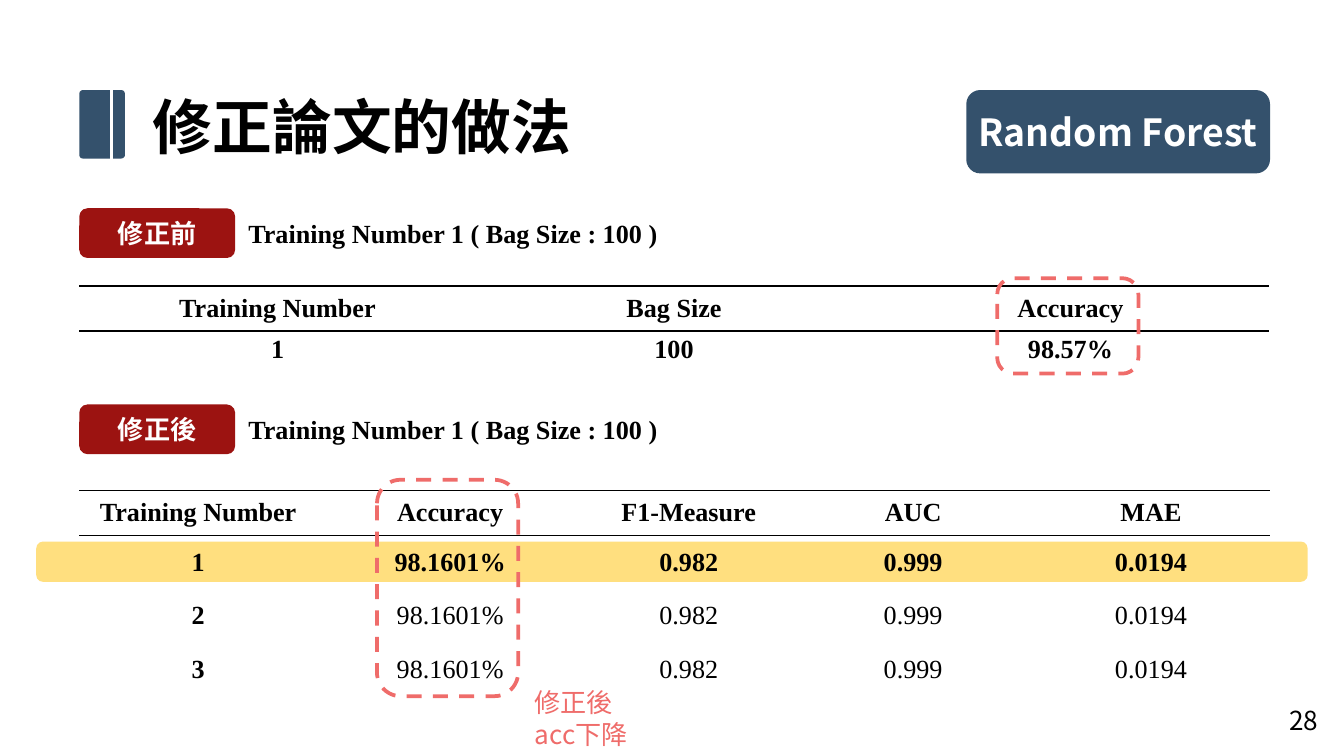
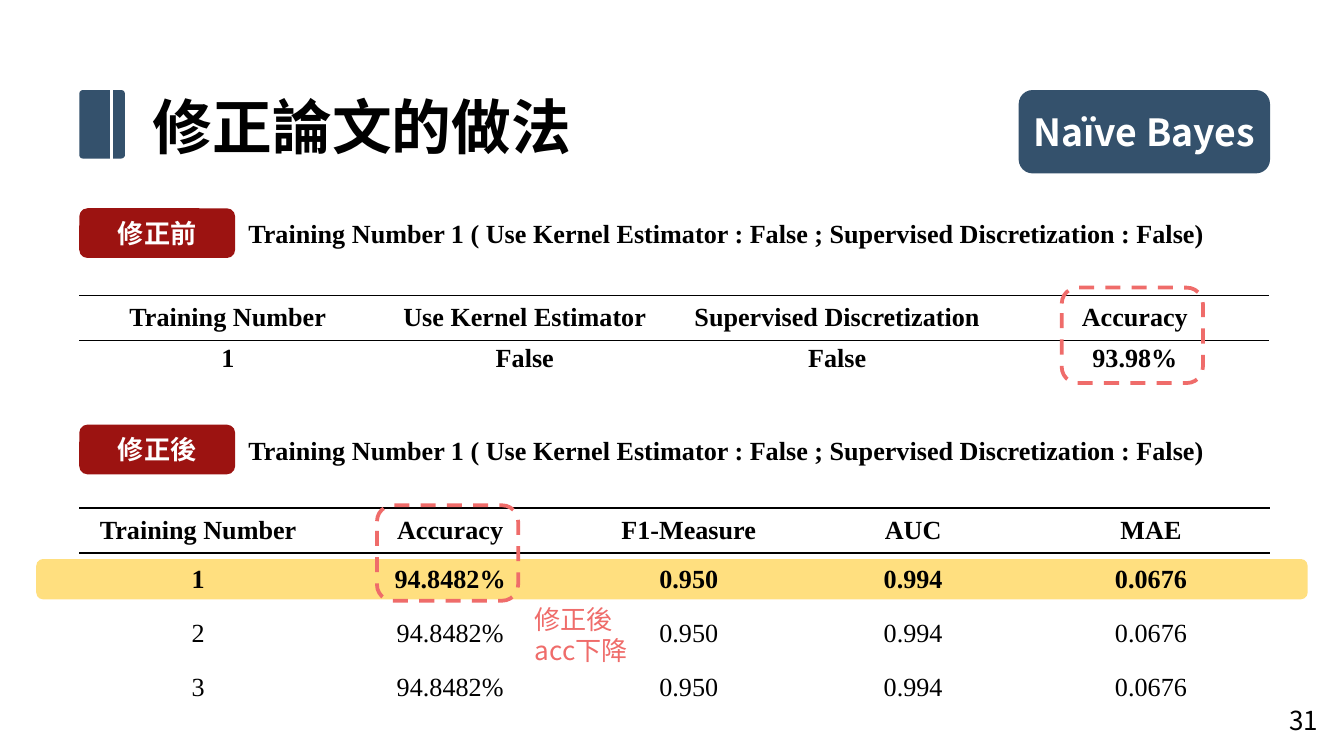
from lxml import etree
from pptx import Presentation
from pptx.dml.color import RGBColor
from pptx.enum import dml, shapes, text
from pptx.oxml import ns
from pptx.util import Inches, Pt

COLORS = {"navy": "34516C", "red": "9C1311", "coral": "EF6C6A", "amber": "FFC000",
          "white": "FFFFFF", "black": "000000"}
SANS, SERIF = "Noto Sans CJK JP", "Times New Roman"
PLAIN_TABLE = "{2D5ABB26-0587-4C30-8999-92F81FD0307C}"

TITLE = "修正論文的做法"
REMARK = ["修正後", "acc下降"]
METRICS = ["Training Number", "Accuracy", "F1-Measure", "AUC", "MAE"]
METRIC_WIDTHS = [1.77, 1.98, 1.57, 1.77, 1.77]
LEFT = 0.59
HEADER_HEIGHT, BEFORE_ROW, AFTER_ROW = 0.33, 0.27, 0.4
FOCUS_WIDTH = 1.05

SLIDES = [
    {
        "number": "28", "method": "Random Forest", "badge": (7.19, 2.26),
        "setting": "Training Number 1 ( Bag Size : 100 )", "bold_numbers": True,
        "before": {"tag_top": 1.55, "top": 2.13, "widths": [2.95] * 3,
                   "rows": [["Training Number", "Bag Size", "Accuracy"],
                            ["1", "100", "98.57%"]],
                   "focus": (2.07, 0.71)},
        "after": {"tag_top": 3.01, "top": 3.65, "widths": METRIC_WIDTHS,
                  "scores": ["98.1601%", "0.982", "0.999", "0.0194"],
                  "focus": (3.57, 1.61)},
        "remark_top": 5.06,
    },
    {
        "number": "31", "method": "Naïve Bayes", "badge": (7.58, 1.87),
        "setting": "Training Number 1 ( Use Kernel Estimator : False ; "
                   "Supervised Discretization : False)", "bold_numbers": False,
        "before": {"tag_top": 1.55, "top": 2.2, "widths": [2.21, 2.21, 2.44, 1.99],
                   "rows": [["Training Number", "Use Kernel Estimator",
                             "Supervised Discretization", "Accuracy"],
                            ["1", "False", "False", "93.98%"]],
                   "focus": (2.14, 0.71)},
        "after": {"tag_top": 3.16, "top": 3.78, "widths": METRIC_WIDTHS,
                  "scores": ["94.8482%", "0.950", "0.994", "0.0676"],
                  "focus": (3.76, 0.71)},
        "remark_top": 4.44,
    },
]


def rgb(color):
    return RGBColor.from_string(COLORS[color])


def write(frame, lines, size=14, font=SANS, color="black", bold=False, center=False):
    for i, line in enumerate(lines):
        paragraph = frame.paragraphs[0] if i == 0 else frame.add_paragraph()
        paragraph.alignment = text.PP_ALIGN.CENTER if center else text.PP_ALIGN.LEFT
        run = paragraph.add_run()
        run.text = line
        for key, value in {"size": Pt(size), "name": font, "bold": bold}.items():
            setattr(run.font, key, value)
        run.font.color.rgb = rgb(color)
        east_asian = etree.SubElement(run.font._element, ns.qn("a:ea"))
        east_asian.set("typeface", font)


def add_label(slide, box, lines, **style):
    frame = slide.shapes.add_textbox(*map(Inches, box)).text_frame
    frame.word_wrap = True
    write(frame, lines, **style)


def add_block(slide, box, fill=None):
    """Rounded rectangle without outline; unfilled if no colour is given."""
    block = slide.shapes.add_shape(shapes.MSO_SHAPE.ROUNDED_RECTANGLE, *map(Inches, box))
    block.shadow.inherit = False
    block.line.fill.background()
    if fill:
        block.fill.solid()
        block.fill.fore_color.rgb = rgb(fill)
    else:
        block.fill.background()
    return block


def write_in_block(block, line, size):
    frame = block.text_frame
    frame.word_wrap = False
    frame.vertical_anchor = text.MSO_ANCHOR.MIDDLE
    write(frame, [line], size=size, color="white", bold=True, center=True)


def add_heading(slide, method, badge):
    left, width = badge
    write_in_block(add_block(slide, (left, 0.67, width, 0.62), "navy"), method, 20)
    add_label(slide, (1.04, 0.62, 6, 0.64), [TITLE], size=32, bold=True)
    marker = add_block(slide, (LEFT, 0.67, 0.34, 0.51), "navy")
    marker.adjustments[0] = 0.08
    slit = slide.shapes.add_connector(shapes.MSO_CONNECTOR.STRAIGHT,
                                      *map(Inches, (0.83, 0.6, 0.83, 1.28)))
    slit.line.color.rgb = rgb("white")
    slit.line.width = Pt(2)
    etree.SubElement(slit._element.spPr, ns.qn("a:effectLst"))


def add_tag(slide, top, tag, setting):
    write_in_block(add_block(slide, (LEFT, top, 1.16, 0.37), "red"), tag, 14)
    add_label(slide, (1.75, top + 0.02, 7.7, 0.34), [setting], font=SERIF, bold=True)


def add_rules(cell, ruled):
    """Draw the ruled sides of a cell and clear the others."""
    properties = cell._tc.get_or_add_tcPr()
    for i, side in enumerate(["lnL", "lnR", "lnT", "lnB"]):
        rule = etree.Element(ns.qn("a:" + side), w=str(Pt(1)))
        if side in ruled:
            fill = etree.SubElement(rule, ns.qn("a:solidFill"))
            etree.SubElement(fill, ns.qn("a:srgbClr"), val=COLORS["black"])
        else:
            etree.SubElement(rule, ns.qn("a:noFill"))
        properties.insert(i, rule)


def add_results(slide, top, widths, rows, row_height, padding, bold_numbers):
    heights = [HEADER_HEIGHT] + [row_height] * (len(rows) - 1)
    box = (LEFT, top, sum(widths), sum(heights))
    results = slide.shapes.add_table(len(rows), len(widths), *map(Inches, box)).table
    results.first_row = results.horz_banding = False
    results._tbl.tblPr.find(ns.qn("a:tableStyleId")).text = PLAIN_TABLE
    for column, width in zip(results.columns, widths):
        column.width = Inches(width)
    for r, (values, height) in enumerate(zip(rows, heights)):
        results.rows[r].height = Inches(height)
        ruled = {0: ["lnT", "lnB"], 1: ["lnT"]}.get(r, [])
        for c, value in enumerate(values):
            cell = results.cell(r, c)
            inset = Inches(padding if r else 0.05)
            layout = {"margin_left": Inches(0.08), "margin_right": Inches(0.08),
                      "margin_top": inset, "margin_bottom": inset,
                      "vertical_anchor": text.MSO_ANCHOR.MIDDLE}
            for key, setting in layout.items():
                setattr(cell, key, setting)
            cell.fill.background()
            bold = r < 2 or (c == 0 and bold_numbers)
            write(cell.text_frame, [value], font=SERIF, bold=bold, center=True)
            add_rules(cell, ruled)


def add_focus(slide, part, column):
    """Dashed frame around the accuracy column."""
    top, height = part["focus"]
    center = LEFT + sum(part["widths"][:column]) + part["widths"][column] / 2
    focus = add_block(slide, (center - 0.02 - FOCUS_WIDTH / 2, top, FOCUS_WIDTH, height))
    focus.line.color.rgb = rgb("coral")
    focus.line.width = Pt(2)
    focus.line.dash_style = dml.MSO_LINE.DASH


def add_best_row(slide, table_top):
    band = add_block(slide, (0.27, table_top + 0.38, 9.46, 0.3), "amber")
    tint = band._element.spPr.find(ns.qn("a:solidFill"))[0]
    etree.SubElement(tint, ns.qn("a:alpha"), val="50000")


def build_slide(deck, content):
    slide = deck.slides.add_slide(deck.slide_layouts[6])
    before, after = content["before"], content["after"]
    bold_numbers = content["bold_numbers"]
    add_best_row(slide, after["top"])
    add_heading(slide, content["method"], content["badge"])
    for part, tag in ((before, "修正前"), (after, "修正後")):
        add_tag(slide, part["tag_top"], tag, content["setting"])
    runs = [[str(n)] + after["scores"] for n in range(1, 4)]
    add_results(slide, after["top"], after["widths"], [METRICS] + runs,
                AFTER_ROW, 0.08, bold_numbers)
    add_results(slide, before["top"], before["widths"], before["rows"],
                BEFORE_ROW, 0, bold_numbers)
    add_focus(slide, before, len(before["widths"]) - 1)
    add_focus(slide, after, METRICS.index("Accuracy"))
    add_label(slide, (3.88, content["remark_top"], 0.94, 0.57), REMARK, color="coral")
    add_label(slide, (9.4, 5.19, 0.6, 0.43), [content["number"]], center=True)


def main():
    deck = Presentation()
    deck.slide_width = Inches(10)
    deck.slide_height = deck.slide_width * 9 // 16
    for content in SLIDES:
        build_slide(deck, content)
    deck.save("out.pptx")


if __name__ == "__main__":
    main()
